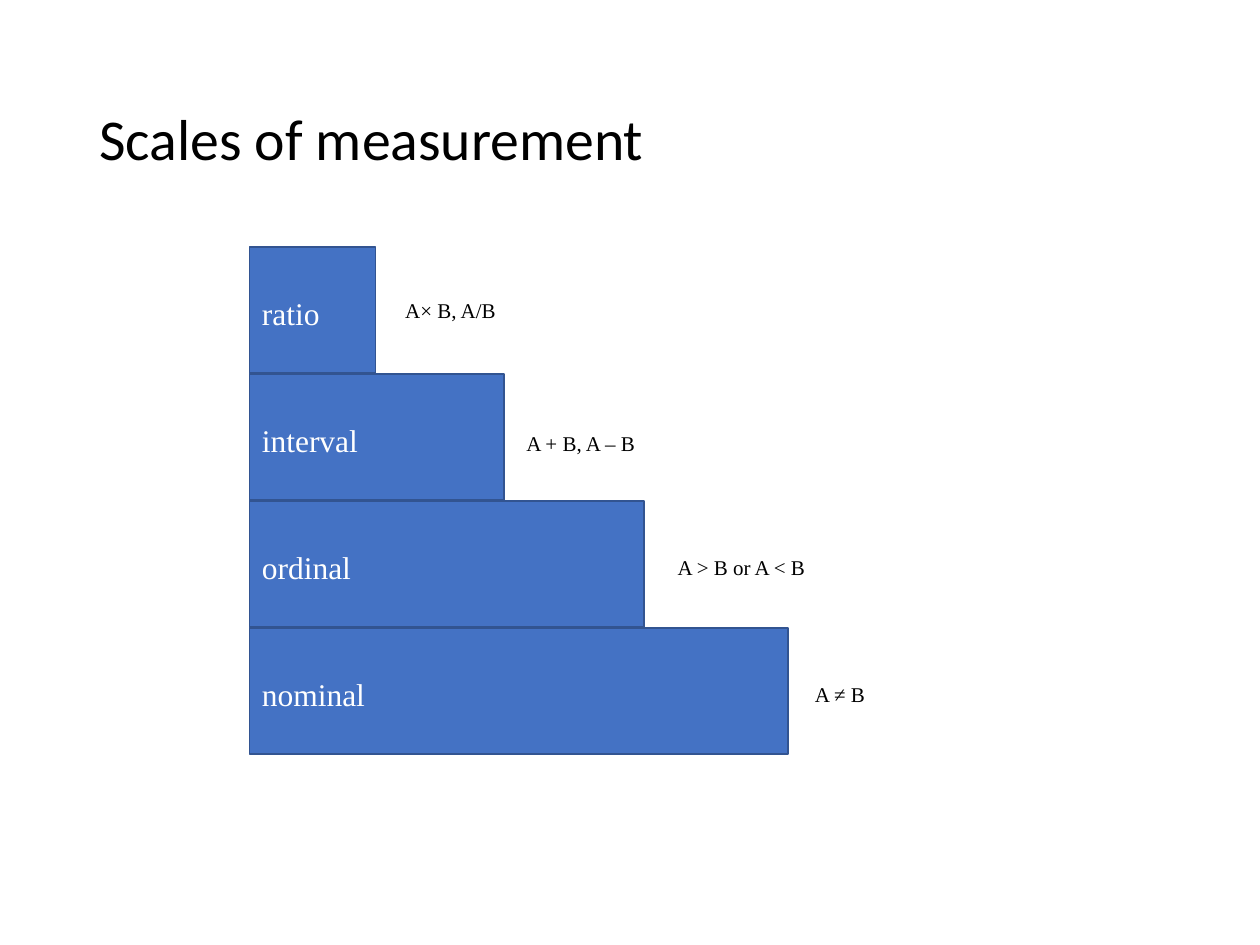
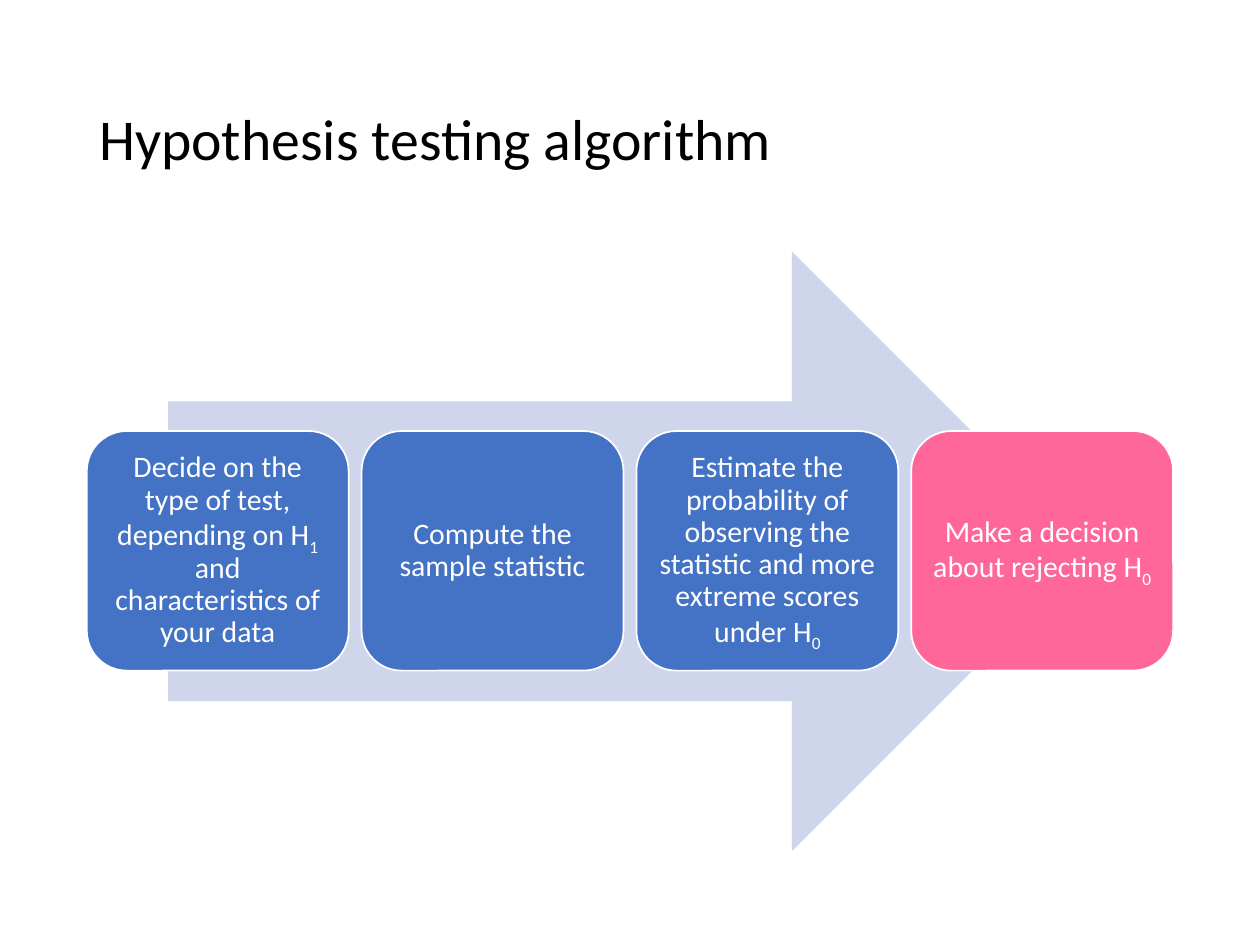
from pptx import Presentation
from pptx import util as u
from pptx.dml.color import RGBColor
from pptx.enum import shapes, text

COLORS = {
    "ink": "000000",
    "paper": "FFFFFF",
    "blue": "4472C4",
    "outline": "325491",
    "arrow": "CFD5EA",
    "pink": "FF6699",
}
SANS, SERIF = "Calibri", "Times New Roman"

SCALE_LEFT, SCALE_TOP, SCALE_HEIGHT, SCALE_PITCH = 5.03, 4.98, 2.54, 2.56
SCALES = [
    ("ratio", 2.54, "A× B, A/B", (7.92, 5.79, 10.36, 1.35)),
    ("interval", 5.13, "A + B, A – B", (10.36, 8.48, 8.13, 1.14)),
    ("ordinal", 7.95, "A > B or A < B", (13.41, 10.97, 6.76, 0.79)),
    ("nominal", 10.85, "A ≠ B", (16.18, 13.54, 4.62, 1.14)),
]

STEP_LEFT, STEP_TOP, STEP_WIDTH, STEP_HEIGHT, STEP_PITCH = 1.75, 8.69, 5.28, 4.83, 5.54
STEPS = [
    (["Decide on the type of test, depending on H", "1", " and characteristics of your data"], "blue"),
    (["Compute the sample statistic"], "blue"),
    (["Estimate the probability of observing the statistic and more extreme scores under H", "0"], "blue"),
    (["Make a decision about rejecting H", "0"], "pink"),
]


def rgb(color):
    return RGBColor.from_string(COLORS[color])


def cm_box(box):
    return [u.Cm(length) for length in box]


def write(holder, parts, font, size, color, spacing, after=0,
          align=text.PP_ALIGN.LEFT, anchor=text.MSO_ANCHOR.MIDDLE):
    frame = holder.text_frame
    frame.word_wrap = True
    frame.vertical_anchor = anchor
    paragraph = frame.paragraphs[0]
    paragraph.alignment = align
    paragraph.line_spacing = spacing
    paragraph.space_after = u.Pt(after)
    paragraph.font.name = font
    paragraph.font.size = u.Pt(size)
    paragraph.font.color.rgb = rgb(color)
    for position, part in enumerate(parts):
        run = paragraph.add_run()
        run.text = part
        if position % 2:
            run._r.get_or_add_rPr().set("baseline", "-25000")
    return frame


def add_block(slide, kind, box, fill, line=None):
    block = slide.shapes.add_shape(kind, *cm_box(box))
    block.shadow.inherit = False
    block.fill.solid()
    block.fill.fore_color.rgb = rgb(fill)
    if line:
        block.line.color.rgb = rgb(line)
        block.line.width = u.Pt(1)
    else:
        block.line.fill.background()
    return block


def add_titled_slide(deck, heading):
    slide = deck.slides.add_slide(deck.slide_layouts[6])
    title = slide.shapes.add_textbox(*cm_box((1.75, 1.01, 21.9, 3.68)))
    write(title, [heading], SANS, 33, "ink", 0.9)
    return slide


def add_scale(slide, row, name, width, operations, operations_box):
    top = SCALE_TOP + row * SCALE_PITCH
    bar = add_block(slide, shapes.MSO_SHAPE.RECTANGLE,
                    (SCALE_LEFT, top, width, SCALE_HEIGHT), "blue", "outline")
    write(bar, [name], SERIF, 18, "paper", 1.15, after=10)
    note = add_block(slide, shapes.MSO_SHAPE.RECTANGLE, operations_box, "paper")
    write(note, [operations], SERIF, 12, "ink", 1.15, after=10, anchor=text.MSO_ANCHOR.TOP)


def add_step(slide, column, parts, fill):
    left = STEP_LEFT + column * STEP_PITCH
    step = add_block(slide, shapes.MSO_SHAPE.ROUNDED_RECTANGLE,
                     (left, STEP_TOP, STEP_WIDTH, STEP_HEIGHT), fill, "paper")
    frame = write(step, parts, SANS, 17, "paper", 0.9, align=text.PP_ALIGN.CENTER)
    frame.margin_left = frame.margin_right = u.Cm(0.18)
    frame.margin_top = frame.margin_bottom = u.Cm(0.18)


def main():
    deck = Presentation()
    deck.slide_width, deck.slide_height = u.Cm(25.4), u.Cm(19.05)

    measurement = add_titled_slide(deck, "Scales of measurement")
    for row, scale in enumerate(SCALES):
        add_scale(measurement, row, *scale)

    testing = add_titled_slide(deck, "Hypothesis testing algorithm")
    add_block(testing, shapes.MSO_SHAPE.RIGHT_ARROW, (3.39, 5.07, 18.62, 12.09), "arrow")
    for column, step in enumerate(STEPS):
        add_step(testing, column, *step)

    deck.save("out.pptx")


if __name__ == "__main__":
    main()
